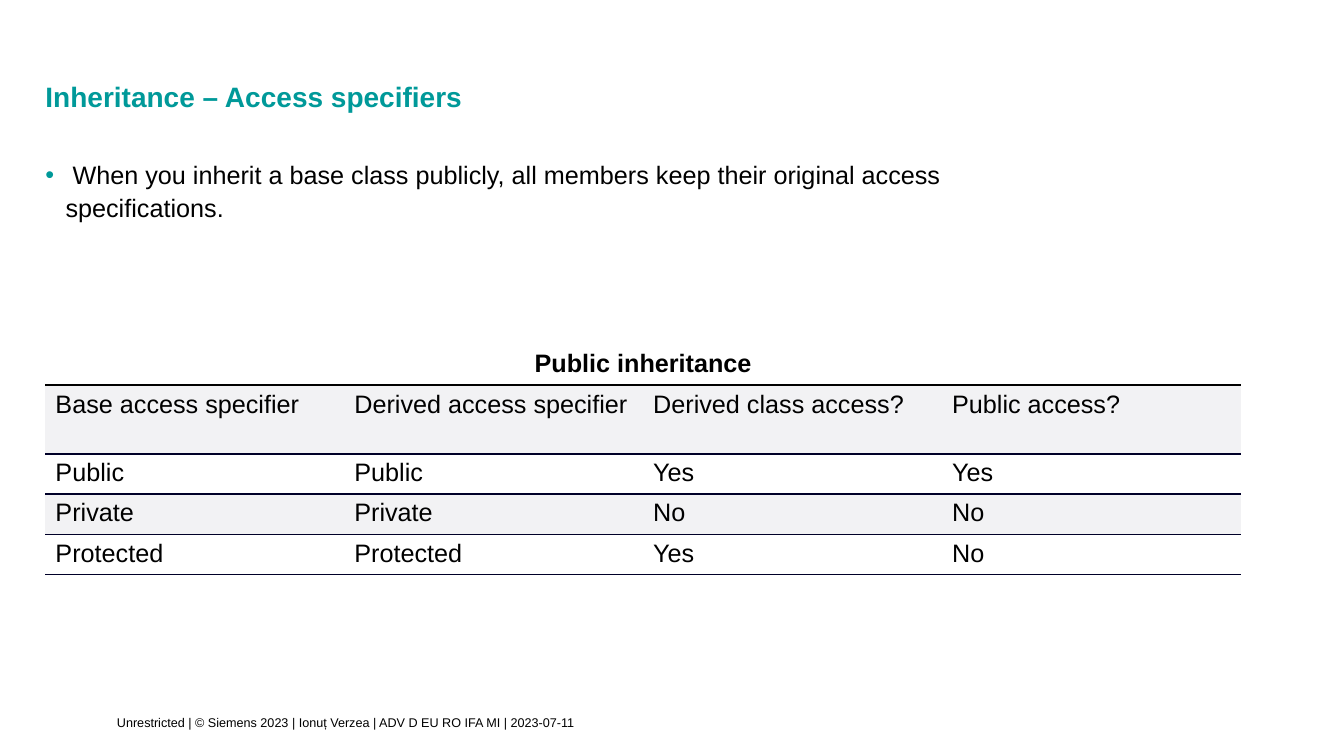
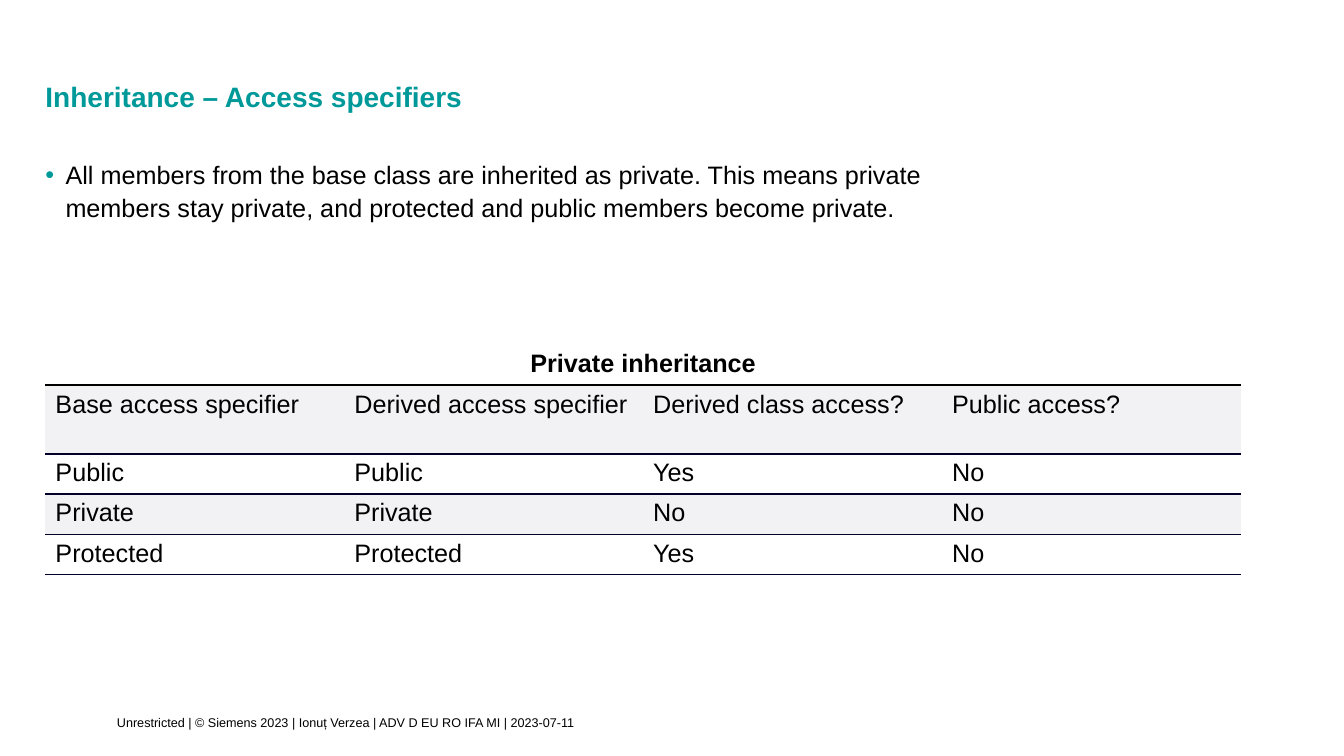
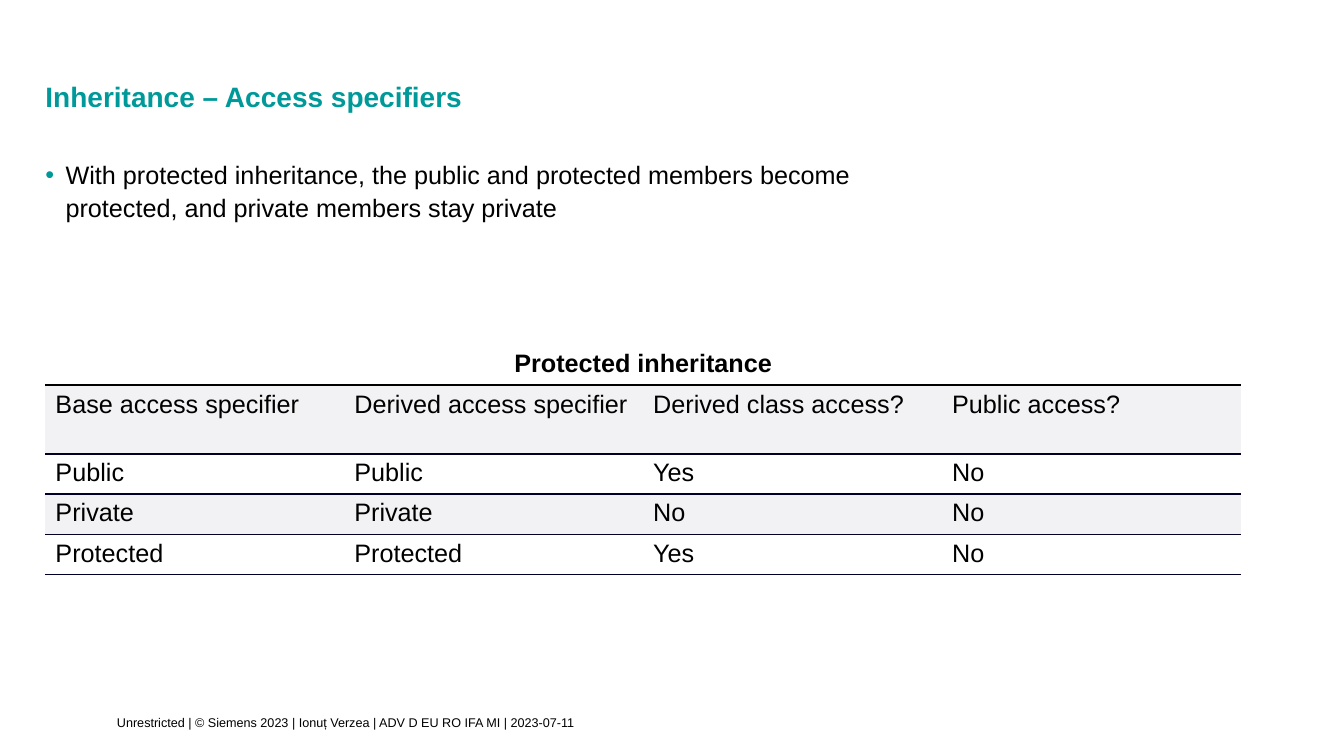
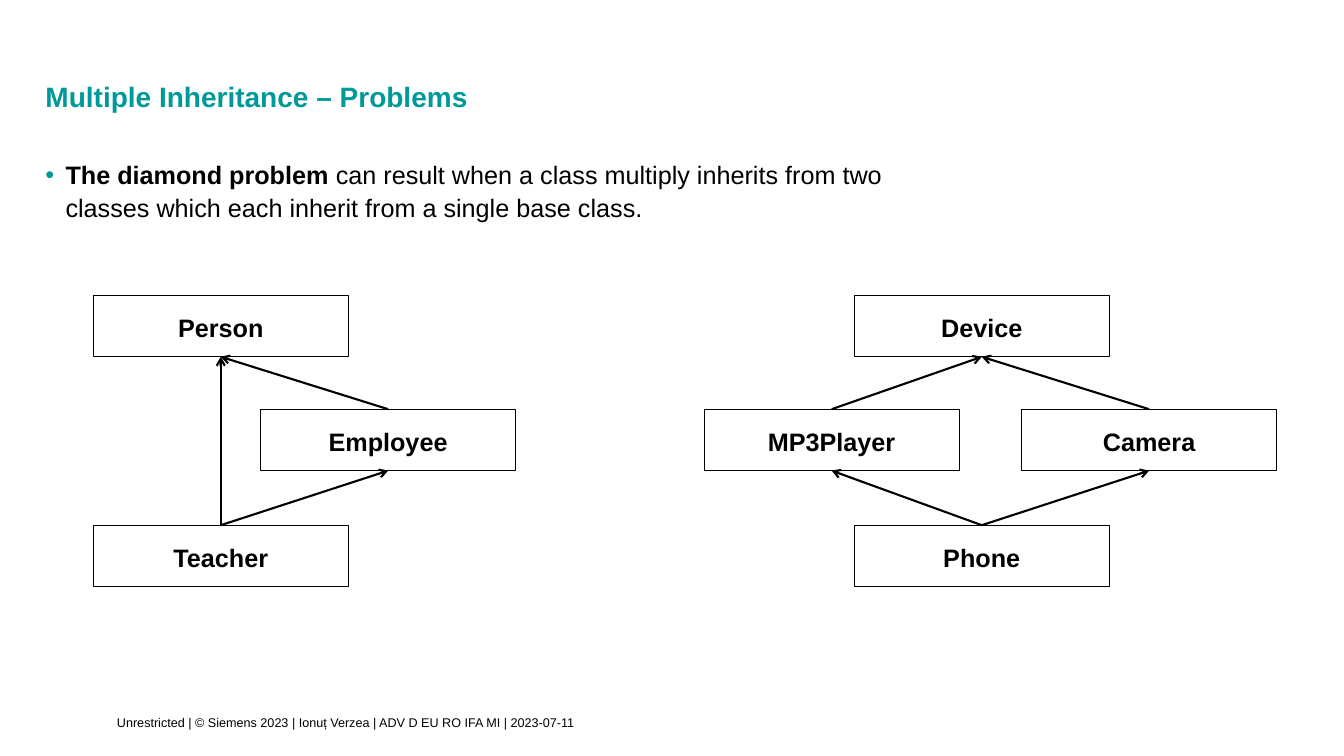
from lxml import etree
from pptx import Presentation
from pptx.dml.color import RGBColor
from pptx.enum import shapes, text
from pptx.oxml import ns
from pptx.util import Inches, Pt

# Shared look
FONT = "Arial"
TEAL, BLACK, NAVY, WHITE, GREY = "009999", "000000", "000028", "FFFFFF", "F2F2F4"
FOOTER = "Unrestricted | © Siemens 2023 | Ionuț Verzea | ADV D EU RO IFA MI | 2023-07-11"
PLAIN = "{2D5ABB26-0587-4C30-8999-92F81FD0307C}"  # table style without lines or fills

# Lengths are percent of the slide's width or height
WIDE, HIGH = Inches(13.33), Inches(7.5)
LEFT = 3.38
BOX_W, BOX_H = 18.98, 8.13
LEVELS = (39.07, 54.13, 69.47)
HEADS = ("Base access specifier", "Derived access specifier",
         "Derived class access?", "Public access?")


def wide(share):
    return round(WIDE * share / 100)


def high(share):
    return round(HIGH * share / 100)


def area(x, y, w, h):
    return wide(x), high(y), wide(w), high(h)


def tint(code):
    return RGBColor.from_string(code)


def node(parent, tag, **attrs):
    return etree.SubElement(parent, ns.qn(tag), attrs)


def write(frame, *parts, size=18, color=BLACK, bold=False, align="LEFT",
          space=None, after=None, bullet=False, anchor="TOP", inset=None):
    """Fill a frame with one paragraph; a part is a string or (string, bold)."""
    frame.word_wrap = True
    frame.vertical_anchor = text.MSO_ANCHOR[anchor]
    if inset:
        (frame.margin_left, frame.margin_top,
         frame.margin_right, frame.margin_bottom) = map(Inches, inset)
    para = frame.paragraphs[0]
    para.alignment = text.PP_ALIGN[align]
    para.line_spacing = space
    if after:
        para.space_after = Pt(after)
    if bullet:
        props = para._p.get_or_add_pPr()
        props.set("marL", str(Inches(0.2)))
        props.set("indent", str(-Inches(0.2)))
        node(node(props, "a:buClr"), "a:srgbClr", val=TEAL)
        node(props, "a:buFont", typeface=FONT)
        node(props, "a:buChar", char="•")
    for part in parts:
        words, heavy = (part, bold) if isinstance(part, str) else part
        run = para.add_run()
        run.text = words
        font = run.font
        font.name, font.size, font.bold = FONT, Pt(size), heavy
        font.color.rgb = tint(color)


def label(slide, place, *parts, **look):
    write(slide.shapes.add_textbox(*area(*place)).text_frame, *parts, **look)


def page(deck, title, *point):
    """Add a slide with its title, bullet point and footer."""
    slide = deck.slides.add_slide(deck.slide_layouts[6])
    label(slide, (LEFT, 6.93, 80.93, 8.4), title, size=20, color=TEAL, bold=True,
          space=0.9, anchor="BOTTOM", inset=(0, 0, 0.35, 0.02))
    label(slide, (LEFT, 20.67, 67.28, 12.8), *point, space=1.1, after=3,
          bullet=True, inset=(0, 0, 0, 0))
    label(slide, (8.7, 92, 75.6, 8), FOOTER, size=9, anchor="MIDDLE",
          inset=(0, 0, 0, 0.07))
    return slide


# Table
def rule(cell, color, width):
    """Draw the bottom border of a cell."""
    line = etree.Element(ns.qn("a:lnB"), w=str(Pt(width)))
    node(node(line, "a:solidFill"), "a:srgbClr", val=color)
    cell._tc.get_or_add_tcPr().insert(0, line)


def grid(slide, title, rows):
    rows = [(title, "", "", ""), HEADS, *rows]
    tall = [9.07 if row is HEADS else 5.33 for row in rows]
    place = area(LEFT, 45.6, 88.95, sum(tall))
    table = slide.shapes.add_table(len(rows), len(HEADS), *place).table
    table.first_row = table.horz_banding = False
    table._tbl.tblPr.find(ns.qn("a:tableStyleId")).text = PLAIN
    table.cell(0, 0).merge(table.cell(0, len(HEADS) - 1))
    rules = [(BLACK, 1.5), (NAVY, 1.5)]
    for r, row in enumerate(rows):
        table.rows[r].height = high(tall[r])
        for c, words in enumerate(row):
            cell = table.cell(r, c)
            if r % 2:
                cell.fill.solid()
                cell.fill.fore_color.rgb = tint(GREY)
            else:
                cell.fill.background()
            rule(cell, *(rules[r] if r < 2 else (NAVY, 1)))
            if words:
                write(cell.text_frame, words, bold=r == 0,
                      align="LEFT" if r else "CENTER")


# Class diagram
def box(slide, name, mid, level):
    place = area(mid - BOX_W / 2, LEVELS[level], BOX_W, BOX_H)
    shape = slide.shapes.add_shape(shapes.MSO_SHAPE.RECTANGLE, *place)
    shape.shadow.inherit = False
    shape.fill.solid()
    shape.fill.fore_color.rgb = tint(WHITE)
    shape.line.color.rgb = tint(BLACK)
    shape.line.width = Pt(0.75)
    write(shape.text_frame, name, bold=True, align="CENTER", space=1.1,
          anchor="MIDDLE", inset=(0.12, 0.06, 0.12, 0.06))
    return shape


def arrow(slide, child, base):
    """Point from the top of a child to the bottom of its base."""
    line = slide.shapes.add_connector(shapes.MSO_CONNECTOR.STRAIGHT, 0, 0, 0, 0)
    line.begin_connect(child, 0)
    line.end_connect(base, 2)
    line.line.color.rgb = tint(BLACK)
    line.line.width = Pt(1.5)
    node(line.line._get_or_add_ln(), "a:tailEnd", type="arrow")
    node(line._element.spPr, "a:effectLst")


def tree(slide, spots, links):
    made = {name: box(slide, name, *spot) for name, spot in spots.items()}
    for child, base in links:
        arrow(slide, made[child], made[base])


def main():
    deck = Presentation()
    deck.slide_width, deck.slide_height = WIDE, HIGH

    # Access specifiers: kind, public access of public members, point
    kinds = [
        ("Public", "Yes", " When you inherit a base class publicly, all members keep "
         "their original access specifications."),
        ("Private", "No", "All members from the base class are inherited as private. "
         "This means private members stay private, and protected and public members "
         "become private."),
        ("Protected", "No", "With protected inheritance, the public and protected "
         "members become protected, and private members stay private"),
    ]
    for kind, open_, point in kinds:
        slide = page(deck, "Inheritance – Access specifiers", point)
        grid(slide, f"{kind} inheritance", [
            ("Public", "Public", "Yes", open_),
            ("Private", "Private", "No", "No"),
            ("Protected", "Protected", "Yes", "No"),
        ])

    # Diamond problem
    slide = page(deck, "Multiple Inheritance – Problems", ("The diamond problem", True),
                 " can result when a class multiply inherits from two classes which "
                 "each inherit from a single base class.")
    tree(slide,
         {"Person": (16.43, 0), "Employee": (28.88, 1), "Teacher": (16.43, 2)},
         [("Employee", "Person"), ("Teacher", "Person"), ("Teacher", "Employee")])
    tree(slide,
         {"Device": (73.05, 0), "MP3Player": (61.88, 1), "Camera": (85.5, 1),
          "Phone": (73.05, 2)},
         [("MP3Player", "Device"), ("Camera", "Device"),
          ("Phone", "MP3Player"), ("Phone", "Camera")])

    deck.save("out.pptx")


if __name__ == "__main__":
    main()
